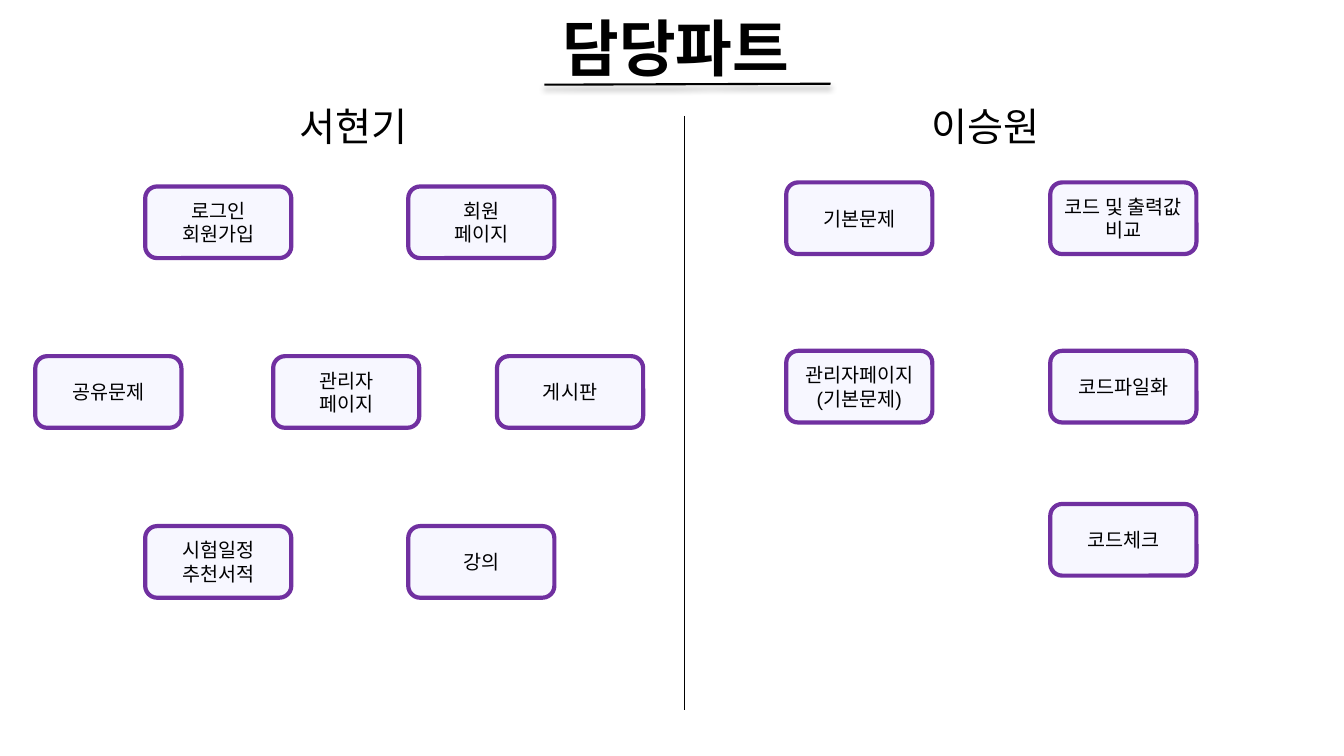
from lxml.etree import SubElement
from pptx import Presentation
from pptx.dml.color import RGBColor
from pptx.enum.shapes import MSO_CONNECTOR as Connector, MSO_SHAPE as Shape
from pptx.enum.text import MSO_ANCHOR as Anchor, PP_ALIGN as Align
from pptx.oxml.ns import qn
from pptx.util import Pt

BLACK = "000000"
CARD_SIZE = (104.4, 51.2)
LATIN, KOREAN = "Arial", "Noto Sans CJK KR"


def color(target, value):
    target.rgb = RGBColor.from_string(value)


def place(part, left, top, width, height):
    part.left, part.top = Pt(left), Pt(top)
    part.width, part.height = Pt(width), Pt(height)


def style(paragraph, size, face, align, bold=False):
    paragraph.alignment = align
    font = paragraph.font
    font.size, font.name, font.bold = Pt(size), face, bold
    font.fill.solid()
    color(font.fill.fore_color, BLACK)


def add_rule(slide, start, end, weight):
    rule = slide.shapes.add_connector(Connector.STRAIGHT, *map(Pt, start + end))
    rule.line.width = Pt(weight)
    color(rule.line.color, BLACK)
    return SubElement(rule._element.spPr, qn("a:effectLst"))


def add_heading(slide, box):
    left, top, width, height = box
    heading = slide.shapes.title
    place(heading, *box)
    heading.text_frame.text = "담당파트"
    heading.text_frame.vertical_anchor = Anchor.MIDDLE
    paragraph = heading.text_frame.paragraphs[0]
    paragraph.line_spacing = 0.9
    style(paragraph, 44, LATIN, Align.LEFT, bold=True)

    effects = add_rule(slide, (left - 5.7, top + 60.5), (left + width, top + 59.8), 1.5)
    shadow = SubElement(effects, qn("a:outerShdw"), blurRad=str(Pt(4)),
                        dist=str(Pt(3)), dir="5400000", rotWithShape="0")
    tint = SubElement(shadow, qn("a:srgbClr"), val=BLACK)
    SubElement(tint, qn("a:alpha"), val="40000")


def add_card(slide, left, top, task):
    card = slide.shapes.add_shape(Shape.ROUNDED_RECTANGLE,
                                  *map(Pt, (left, top) + CARD_SIZE))
    card.shadow.inherit = False
    card.fill.solid()
    color(card.fill.fore_color, "CCCCFF")
    fill = card._element.spPr.find(qn("a:solidFill"))
    SubElement(fill[0], qn("a:alpha"), val="15000")
    color(card.line.color, "7030A0")
    card.line.width = Pt(3)
    card.text_frame.text = task
    card.text_frame.word_wrap = True
    card.text_frame.vertical_anchor = Anchor.MIDDLE
    for paragraph in card.text_frame.paragraphs:
        style(paragraph, 14, LATIN, Align.CENTER)


def add_member(slide, member, box, name, rows):
    left, top = box[:2]
    place(member, *box)
    member.text_frame.text = name
    paragraph = member.text_frame.paragraphs[0]
    paragraph.line_spacing = 0.9
    paragraph.space_before = Pt(0)
    properties = paragraph._p.get_or_add_pPr()
    properties.set("marL", "0")
    properties.set("indent", "0")
    SubElement(properties, qn("a:buNone"))
    style(paragraph, 28, KOREAN, Align.CENTER)
    SubElement(paragraph.font._rPr, qn("a:ea"), typeface=KOREAN)
    for row_top, tasks in rows:
        for task_left, task in tasks:
            add_card(slide, left + task_left, top + row_top, task)


def main():
    deck = Presentation()
    deck.slide_width, deck.slide_height = Pt(960), Pt(540)
    slide = deck.slides.add_slide(deck.slide_layouts[3])
    first, second = list(slide.placeholders)[1:3]

    add_heading(slide, (394.6, 0, 198.7, 73.4))
    add_rule(slide, (488.9, 82.8), (488.9, 506.9), 0.75)
    add_member(slide, first, (25.2, 73.4, 454.3, 466.6), "서현기", [
        (59.8, [(78.5, "로그인\n회원가입"), (266.4, "회원\n페이지")]),
        (181, [(0, "공유문제"), (169.9, "관리자\n페이지"), (329.8, "게시판")]),
        (302.4, [(78.5, "시험일정\n추천서적"), (266.4, "강의")]),
    ])
    add_member(slide, second, (480.2, 73.4, 454.3, 466.6), "이승원 ", [
        (56.9, [(81.4, "기본문제"), (270, "코드 및 출력값 비교")]),
        (177.2, [(81.4, "관리자페이지(기본문제)"), (270, "코드파일화")]),
        (286.6, [(270, "코드체크")]),
    ])
    deck.save("out.pptx")


if __name__ == "__main__":
    main()
